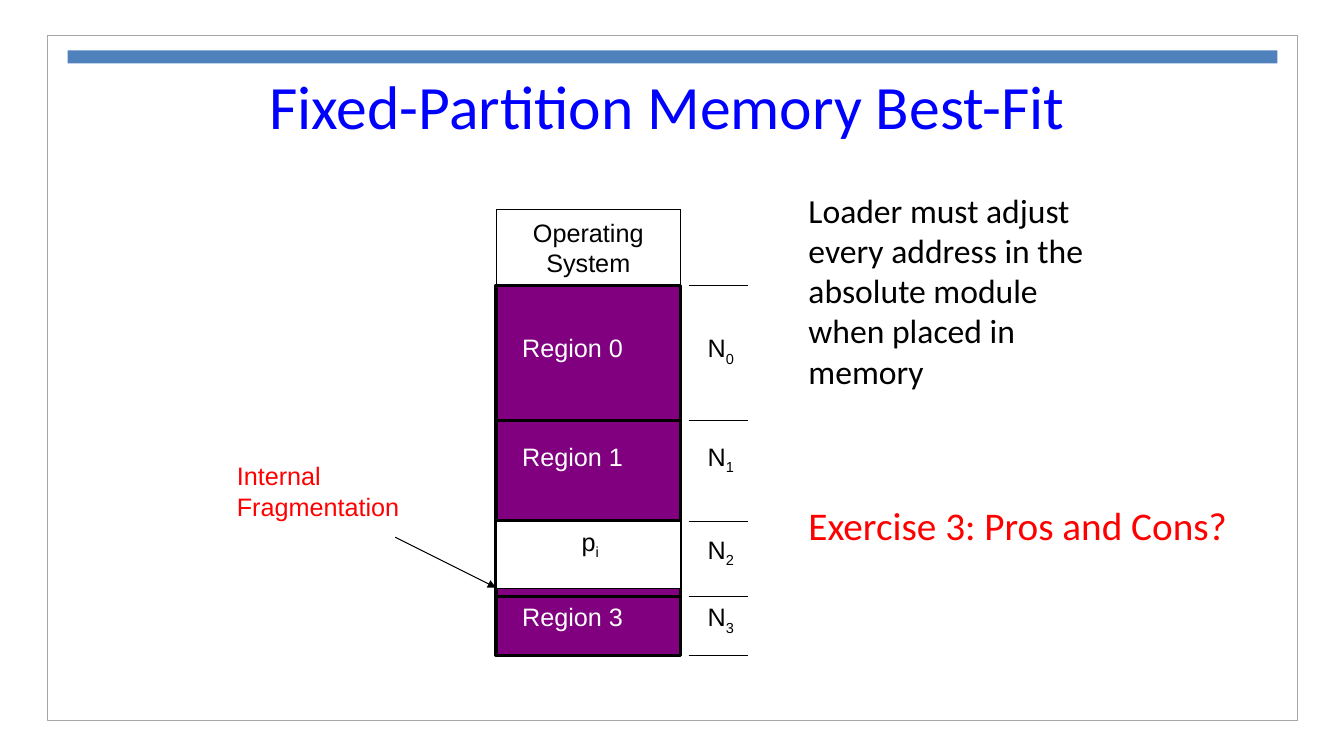
from lxml import etree
from pptx import Presentation
from pptx.dml.color import RGBColor
from pptx.enum.shapes import MSO_CONNECTOR, MSO_SHAPE
from pptx.enum.text import MSO_ANCHOR, PP_ALIGN
from pptx.oxml.ns import qn
from pptx.util import Inches, Pt

COLORS = {
    "blue": "0000FF", "bar": "4F81BD", "frame": "A6A6A6", "purple": "800080",
    "red": "FF0000", "black": "000000", "white": "FFFFFF",
}
TITLE_ONLY = 5


class SlideBuilder:
    heading_font = "Calibri"
    label_font = "Arial"

    def __init__(self, slide):
        self.slide = slide

    def color(self, name):
        return RGBColor.from_string(COLORS[name])

    def style_paragraph(self, p, font, size, color, align=PP_ALIGN.LEFT):
        p.alignment = align
        p.font.name, p.font.size = font, Pt(size)
        p.font.color.rgb = self.color(color)

    def title(self, text, *box):
        sp = self.slide.shapes.title
        sp.left, sp.top, sp.width, sp.height = map(Inches, box)
        tf = sp.text_frame
        tf.text = text
        tf.vertical_anchor = MSO_ANCHOR.MIDDLE
        self.style_paragraph(tf.paragraphs[0], self.heading_font, 44, "blue",
                             PP_ALIGN.CENTER)

    def rect(self, x, y, w, h, fill=None, line=None, weight=0.75):
        sp = self.slide.shapes.add_shape(
            MSO_SHAPE.RECTANGLE, *map(Inches, (x, y, w, h)))
        sp.shadow.inherit = False
        if fill:
            sp.fill.solid()
            sp.fill.fore_color.rgb = self.color(fill)
        else:
            sp.fill.background()
        if line:
            sp.line.color.rgb = self.color(line)
            sp.line.width = Pt(weight)
        else:
            sp.line.fill.background()
        return sp

    def add_lines(self, tf, lines, font, size, color, align=PP_ALIGN.LEFT):
        for i, line in enumerate(lines):
            p = tf.add_paragraph() if i else tf.paragraphs[0]
            p.add_run().text = line
            self.style_paragraph(p, font, size, color, align)

    def text(self, lines, x, y, w, h, color="black", font=label_font, size=18,
             wrap=True, subscript=""):
        """Add a text box; subscript follows the last line."""
        box = self.slide.shapes.add_textbox(*map(Inches, (x, y, w, h)))
        tf = box.text_frame
        tf.word_wrap = wrap
        self.add_lines(tf, lines, font, size, color)
        if subscript:
            r = tf.paragraphs[-1].add_run()
            r.text = subscript
            r.font._element.set("baseline", "-25000")

    def line(self, x1, y1, x2, y2, arrow=False):
        cxn = self.slide.shapes.add_connector(
            MSO_CONNECTOR.STRAIGHT, *map(Inches, (x1, y1, x2, y2)))
        cxn.line.color.rgb = self.color("black")
        cxn.line.width = Pt(0.75)
        sp_pr = cxn.element.spPr
        if arrow:
            etree.SubElement(sp_pr.find(qn("a:ln")), qn("a:tailEnd"), type="triangle")
        etree.SubElement(sp_pr, qn("a:effectLst"))


def draw_memory(s):
    x, w, top = 4.92, 1.83, 2.08
    edges = [2.83, 4.17, 5.17, 5.92, 6.5]
    label_tops = [3.25, 4.33, 5.25, 5.92]

    s.rect(x, top, w, edges[-1] - top, "purple", "black")
    system = s.rect(x, top, w, edges[0] - top, "white", "black")
    tf = system.text_frame
    tf.word_wrap = False
    tf.vertical_anchor = MSO_ANCHOR.MIDDLE
    s.add_lines(tf, ["Operating", "System"], s.label_font, 18, "black",
                PP_ALIGN.CENTER)

    for start, end in zip(edges, edges[1:]):
        s.rect(x, start, w, end - start, line="black", weight=2.25)
    for i, y in enumerate(label_tops):
        if i != 2:  # region 2 holds the process
            s.text([f"Region {i}"], 5.08, y, 1.21, 0.4, "white", wrap=False)
        s.text(["N"], 6.92, y, 0.48, 0.4, wrap=False, subscript=str(i))
    for y in edges:
        s.line(6.83, y, 7.42, y)

    s.rect(x, edges[2], w, 0.67, "white", "black")
    s.text(["p"], 5.67, edges[2], 0.38, 0.4, wrap=False, subscript="i")
    s.text(["Internal", "Fragmentation"], 2.25, 4.52, 2.25, 0.71, "red")
    s.line(3.92, 5.33, x, 5.83, arrow=True)


def main():
    prs = Presentation()
    prs.slide_width, prs.slide_height = Inches(13.33), Inches(7.5)
    s = SlideBuilder(prs.slides.add_slide(prs.slide_layouts[TITLE_ONLY]))

    s.rect(0.47, 0.35, 12.4, 6.8, line="frame", weight=1)
    s.rect(0.67, 0.5, 12, 0.13, "bar")
    s.title("Fixed-Partition Memory Best-Fit", 1.83, 0.42, 9.58, 1.25)
    draw_memory(s)
    s.text(["Loader must adjust every address in the absolute module "
            "when placed in memory"], 7.92, 1.83, 3.18, 2.12,
           font=s.heading_font, size=24)
    s.text(["Exercise 3: Pros and Cons?"], 7.92, 4.92, 4.67, 0.57,
           "red", s.heading_font, 28)
    prs.save("out.pptx")


if __name__ == "__main__":
    main()
